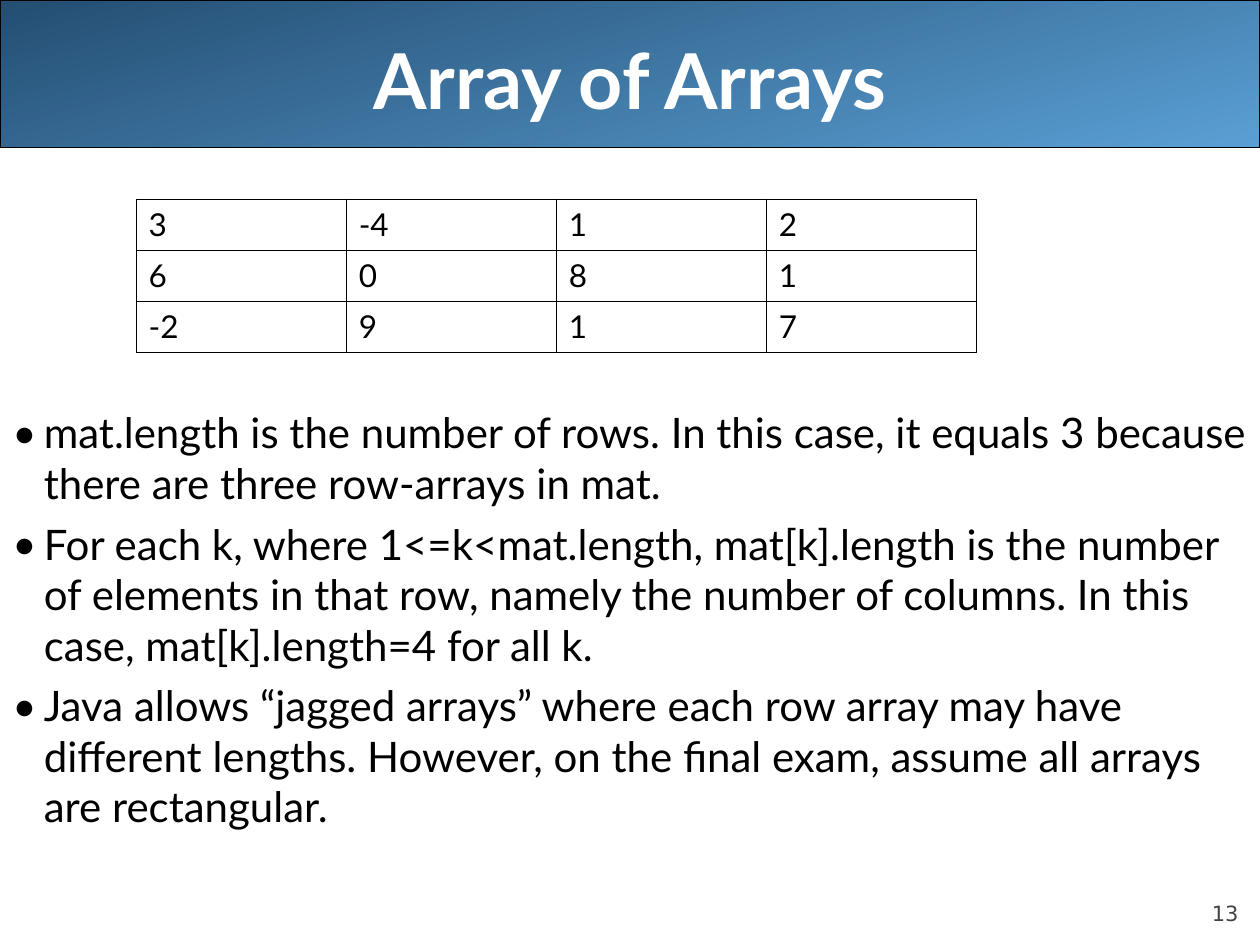
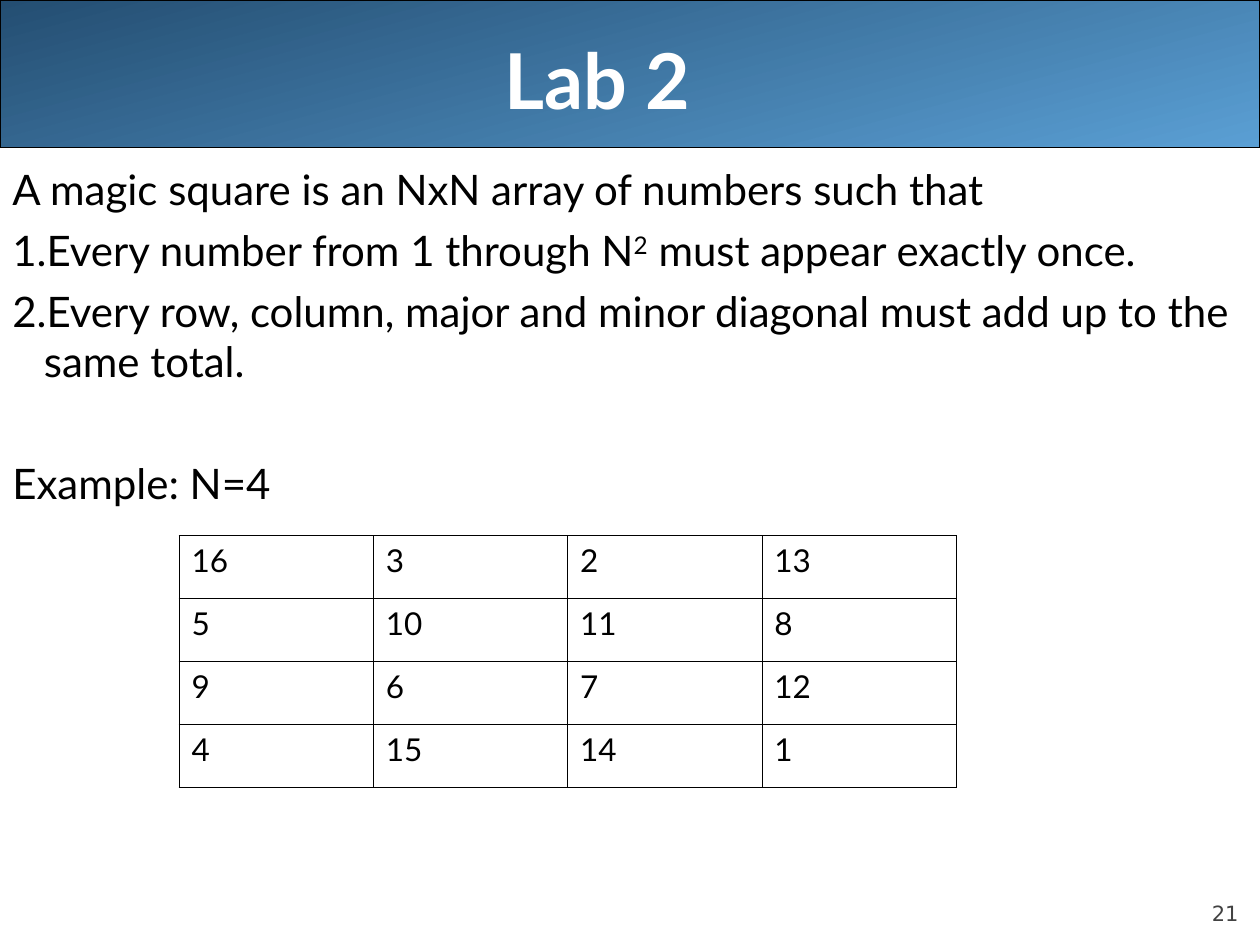
import dataclasses

import pptx
import pptx.dml.color
import pptx.enum.shapes
import pptx.enum.text
import pptx.oxml
import pptx.oxml.ns
import pptx.util

Inches = pptx.util.Inches
Pt = pptx.util.Pt
Anchor = pptx.enum.text.MSO_ANCHOR
Align = pptx.enum.text.PP_ALIGN


@dataclasses.dataclass(frozen=True)
class Theme:
    font: str = "Lato"
    number_font: str = "DejaVu Sans"
    band_light: str = "5A9FD4"
    band_dark: str = "244E72"
    title_color: str = "FFFFFF"
    ink: str = "000000"
    number_color: str = "424242"
    title_size: float = 44
    body_size: float = 24
    cell_size: float = 18
    number_size: float = 12
    band_line: float = 0.75
    grid_line: float = 0.45
    paragraph_gap: float = 6


THEME = Theme()
BAND = (0, 0, 10, 1.17)
TITLE = (0.5, 0, 9, 1.25)
PAGE_NUMBER = (9, 6.95, 0.83, 0.4)
NAMESPACE = pptx.oxml.ns.nsdecls("a")
BULLET = f'<a:buChar {NAMESPACE} char="•"/>'
NUMBER = f'<a:buAutoNum {NAMESPACE} type="arabicPeriod"/>'
MARKER_FONT = f'<a:buFont {NAMESPACE} typeface="{THEME.font}"/>'


def rgb(color):
    return pptx.dml.color.RGBColor.from_string(color)


def inches(box):
    return [Inches(length) for length in box]


def add_run(para, text, size, color=THEME.ink, font=THEME.font, bold=False):
    span = para.add_run()
    span.text = text
    span.font.size = Pt(size)
    span.font.name = font
    span.font.bold = bold
    span.font.color.rgb = rgb(color)
    return span


def add_band(page, box):
    band = page.shapes.add_shape(
        pptx.enum.shapes.MSO_SHAPE.RECTANGLE, *inches(box))
    band.shadow.inherit = False
    band.fill.gradient()
    band.fill.gradient_angle = 105
    for stop, color in zip(band.fill.gradient_stops,
                           (THEME.band_light, THEME.band_dark)):
        stop.color.rgb = rgb(color)
    band.line.color.rgb = rgb(THEME.ink)
    band.line.width = Pt(THEME.band_line)
    page.shapes._spTree.insert(2, band._element)  # behind the title


def set_title(page, box, text, shift_left):
    title = page.shapes.title
    title.left, title.top, title.width, title.height = inches(box)
    frame = title.text_frame
    frame.auto_size = pptx.enum.text.MSO_AUTO_SIZE.NONE
    frame.vertical_anchor = Anchor.MIDDLE
    frame.margin_right = Inches(0.1 + 2 * shift_left)
    para = frame.paragraphs[0]
    para.alignment = Align.CENTER
    add_run(para, text, THEME.title_size, THEME.title_color, bold=True)


def add_page_number(page, box, number):
    frame = page.shapes.add_textbox(*inches(box)).text_frame
    frame.word_wrap = True
    frame.vertical_anchor = Anchor.BOTTOM
    frame.margin_left = frame.margin_right = 0
    frame.margin_top = frame.margin_bottom = 0
    para = frame.paragraphs[0]
    para.alignment = Align.RIGHT
    add_run(para, str(number), THEME.number_size, THEME.number_color,
            THEME.number_font)


def start_page(deck, title, number, shift_left=0):
    page = deck.slides.add_slide(deck.slide_layouts[5])
    add_band(page, BAND)
    set_title(page, TITLE, title, shift_left)
    add_page_number(page, PAGE_NUMBER, number)
    return page


def add_body(page, box, items):
    """Each item is (marker, space before, text parts); odd parts are raised."""
    frame = page.shapes.add_textbox(*inches(box)).text_frame
    frame.word_wrap = True
    for index, (marker, gap, parts) in enumerate(items):
        para = frame.add_paragraph() if index else frame.paragraphs[0]
        properties = para._p.get_or_add_pPr()
        properties.set("marL", str(Inches(0.25)))
        properties.set("indent", str(Inches(-0.25)))
        if marker:
            for markup in (MARKER_FONT, marker):
                properties.append(pptx.oxml.parse_xml(markup))
        para.space_before = Pt(gap if index else 0)
        for position, text in enumerate(parts):
            span = add_run(para, text, THEME.body_size)
            if position % 2:
                span.font._element.set("baseline", "30000")


def add_border(cell):
    properties = cell._tc.get_or_add_tcPr()
    for index, side in enumerate(("lnL", "lnR", "lnT", "lnB")):
        properties.insert(index, pptx.oxml.parse_xml(
            f'<a:{side} {NAMESPACE} w="{Pt(THEME.grid_line)}"><a:solidFill>'
            f'<a:srgbClr val="{THEME.ink}"/></a:solidFill></a:{side}>'))


def add_matrix(page, box, values):
    table = page.shapes.add_table(
        len(values), len(values[0]), *inches(box)).table
    table.first_row = table.horz_banding = False
    for row, numbers in enumerate(values):
        for column, number in enumerate(numbers):
            cell = table.cell(row, column)
            cell.fill.background()
            add_border(cell)
            add_run(cell.text_frame.paragraphs[0], str(number),
                    THEME.cell_size)


def build_array_page(deck):
    page = start_page(deck, "Array of Arrays", 13)
    gap = THEME.paragraph_gap
    add_body(page, (0, 3.18, 10, 4.32), [
        (BULLET, gap, ["mat.length is the number of rows. In this case, it "
                       "equals 3 because there are three row-arrays in mat."]),
        (BULLET, gap, ["For each k, where 1<=k<mat.length, mat[k].length is "
                       "the number of elements in that row, namely the number "
                       "of columns. In this case, mat[k].length=4 for all k."]),
        (BULLET, gap, ["Java allows “jagged arrays” where each row array may "
                       "have different lengths. However, on the final exam, "
                       "assume all arrays are rectangular."]),
    ])
    add_matrix(page, (1.08, 1.58, 6.67, 1.22),
               [[3, -4, 1, 2], [6, 0, 8, 1], [-2, 9, 1, 7]])


def build_lab_page(deck):
    page = start_page(deck, "Lab 2", 21, shift_left=0.26)
    gap = THEME.paragraph_gap
    skipped_line = 1.2 * THEME.body_size + 2 * gap
    add_body(page, (0, 1.25, 10, 6.25), [
        (None, gap, ["A magic square is an NxN array of numbers such that"]),
        (NUMBER, gap, ["Every number from 1 through N", "2",
                       " must appear exactly once."]),
        (NUMBER, gap, ["Every row, column, major and minor diagonal must "
                       "add up to the same total."]),
        (None, skipped_line, ["Example: N=4"]),
    ])
    add_matrix(page, (1.42, 4.25, 6.17, 2),
               [[16, 3, 2, 13], [5, 10, 11, 8], [9, 6, 7, 12], [4, 15, 14, 1]])


def main():
    deck = pptx.Presentation()
    deck.slide_width, deck.slide_height = Inches(10), Inches(7.5)
    build_array_page(deck)
    build_lab_page(deck)
    deck.save("out.pptx")


if __name__ == "__main__":
    main()
